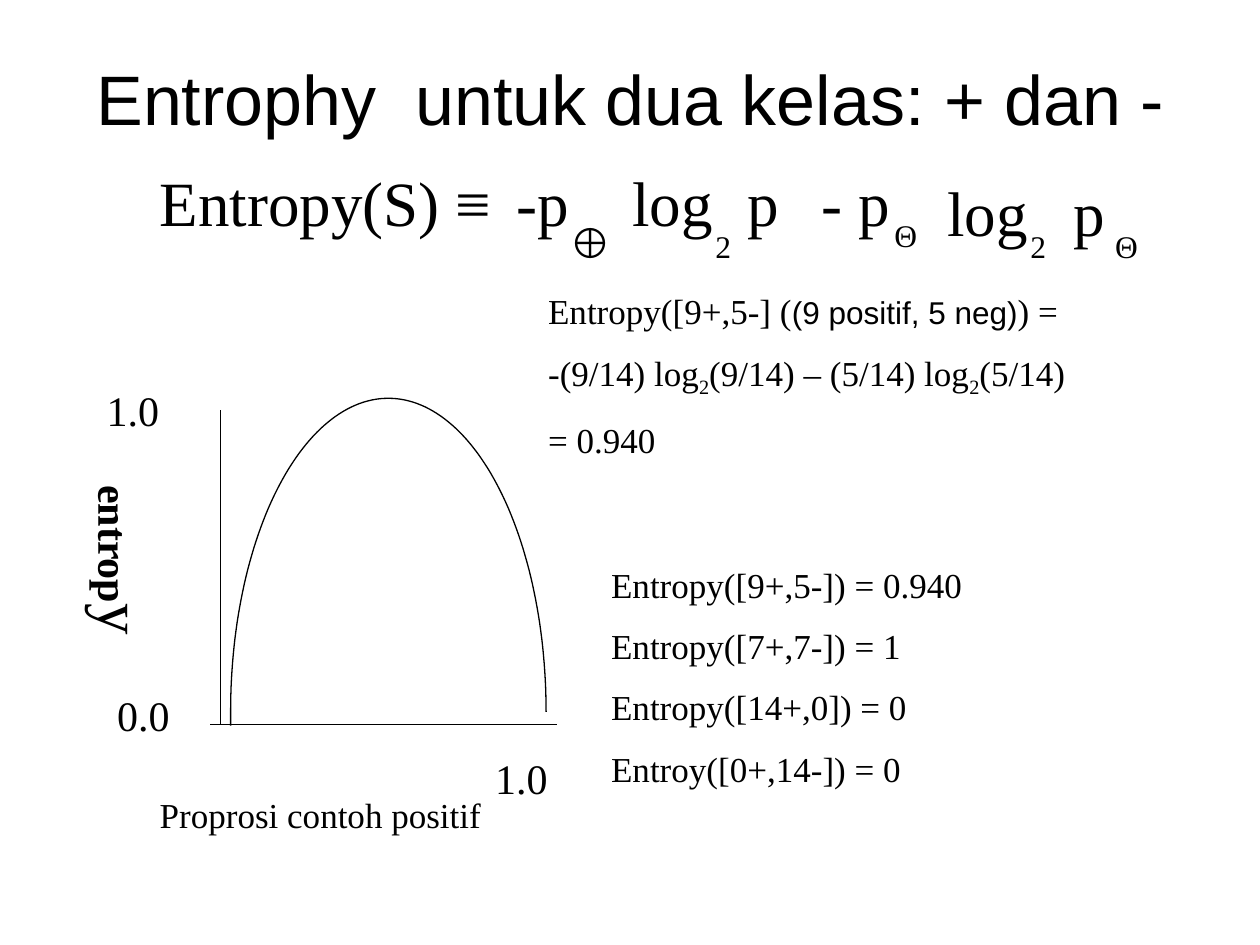
import math
from dataclasses import dataclass
from typing import Optional

from lxml import etree
from pptx import Presentation
from pptx.dml.color import RGBColor
from pptx.enum import shapes, text
from pptx.oxml import ns
from pptx.util import Cm, Pt

COLORS = {"ink": "000000"}
SERIF, SANS = "Times New Roman", "Arial"
INK = RGBColor.from_string(COLORS["ink"])
LINE_WIDTH = Pt(0.75)


@dataclass(frozen=True)
class Span:
    text: str
    size: Optional[float] = None
    font: Optional[str] = None
    bold: Optional[bool] = None
    subscript: bool = False


@dataclass(frozen=True)
class Label:
    """A text box in centimetres; each paragraph is a tuple of spans."""
    left: float
    top: float
    width: float
    size: float
    paragraphs: tuple
    wrap: bool = True


@dataclass(frozen=True)
class Axis:
    start: tuple
    end: tuple


def label(left: float, top: float, width: float, size: float, *lines: str,
          wrap: bool = True) -> Label:
    return Label(left, top, width, size, tuple((Span(line),) for line in lines), wrap)


FORMULA = [
    label(2.97, 3.18, 7.42, 36, "Entropy(S) ≡"),
    label(10.16, 3.18, 2.54, 36, "-p"),
    label(11.23, 4.24, 1.17, 24, "⊕", wrap=False),
    label(12.5, 3.18, 2.34, 36, "log"),
    label(14.17, 4.45, 1.27, 18, "2"),
    label(14.81, 3.18, 2.54, 36, "p"),
    label(16.31, 3.18, 2.54, 36, "- p"),
    label(17.78, 4.24, 0.99, 18, "Θ", wrap=False),
    label(18.85, 3.38, 2.34, 36, "log"),
    label(20.52, 4.45, 1.47, 18, "2"),
    label(21.39, 3.38, 1.9, 36, "p"),
    label(22.23, 4.45, 0.99, 18, "Θ", wrap=False),
]
GRAPH_LABELS = [
    label(1.9, 7.62, 3.61, 24, "1.0"),
    label(2.11, 13.77, 3.61, 24, "0.0"),
    label(9.73, 15.04, 3.61, 24, "1.0"),
    label(2.97, 15.88, 10.36, 20, "Proprosi contoh positif"),
]
EXAMPLES = [
    label(12.07, 11.23, 13.33, 20,
          "Entropy([9+,5-]) = 0.940", "Entropy([7+,7-]) = 1",
          "Entropy([14+,0]) = 0", "Entroy([0+,14-]) = 0"),
    Label(10.8, 5.72, 13.77, 20, (
        (Span("Entropy([9+,5-] ("), Span("(9 positif, 5 neg)", 18, SANS), Span(") =")),
        (Span("-(9/14) log"), Span("2", subscript=True),
         Span("(9/14) – (5/14) log"), Span("2", subscript=True), Span("(5/14)")),
        (Span("= 0.940"),),
    )),
]
ENTROPY_AXIS_LABEL = ((Span("entrop", 24, bold=True), Span("y")),)
AXES = [Axis((4.24, 14.61), (11.23, 14.61)), Axis((4.45, 14.61), (4.45, 8.26))]


def fill_text(frame, paragraphs: tuple, size: float, wrap: bool = True) -> None:
    frame.word_wrap = wrap
    frame.auto_size = text.MSO_AUTO_SIZE.SHAPE_TO_FIT_TEXT
    for index, spans in enumerate(paragraphs):
        paragraph = frame.add_paragraph() if index else frame.paragraphs[0]
        if index:
            paragraph.space_before = Pt(11)
        paragraph.font.name = SERIF
        paragraph.font.size = Pt(size)
        paragraph.font.color.rgb = INK
        for span in spans:
            run = paragraph.add_run()
            run.text = span.text
            if span.size:
                run.font.size = Pt(span.size)
            if span.font:
                run.font.name = span.font
            if span.bold:
                run.font.bold = True
            if span.subscript:
                run.font._element.set("baseline", "-25000")


def add_label(slide, item: Label) -> None:
    lines = len(item.paragraphs)
    height = Pt(1.2 * item.size * lines + 11 * (lines - 1)) + Cm(0.25)
    box = slide.shapes.add_textbox(Cm(item.left), Cm(item.top), Cm(item.width), height)
    fill_text(box.text_frame, item.paragraphs, item.size, item.wrap)


def add_vertical_label(slide) -> None:
    box = slide.shapes.add_textbox(Cm(1.35), Cm(9.53), Cm(2.03), Cm(4.88))
    fill_text(box.text_frame, ENTROPY_AXIS_LABEL, 36)
    box.text_frame._txBody.bodyPr.set("vert", "eaVert")


def add_axis(slide, axis: Axis) -> None:
    connector = slide.shapes.add_connector(
        shapes.MSO_CONNECTOR.STRAIGHT, *map(Cm, axis.start + axis.end))
    connector.line.color.rgb = INK
    connector.line.width = LINE_WIDTH
    etree.SubElement(connector._element.spPr, ns.qn("a:effectLst"))


def add_entropy_curve(slide) -> None:
    """Draw the upper half of an ellipse, with a short drop to the axis."""
    center_x, base_y, radius_x, radius_y = 7.83, 14.35, 3.18, 6.32
    steps = 120
    points = [
        (Cm(center_x + radius_x * math.cos(math.pi * step / steps)),
         Cm(base_y - radius_y * math.sin(math.pi * step / steps)))
        for step in range(steps + 1)
    ]
    points.append((Cm(center_x - radius_x), Cm(14.63)))
    builder = slide.shapes.build_freeform(*points[0])
    builder.add_line_segments(points[1:], close=False)
    curve = builder.convert_to_shape()
    curve.shadow.inherit = False
    curve.fill.background()
    curve.line.color.rgb = INK
    curve.line.width = LINE_WIDTH


def set_title(slide) -> None:
    title = slide.shapes.title
    title.left, title.top, title.width, title.height = map(Cm, (1.27, 0.76, 22.86, 2.41))
    title.text_frame.text = "Entrophy  untuk dua kelas: + dan -"
    title.text_frame.vertical_anchor = text.MSO_ANCHOR.MIDDLE
    paragraph = title.text_frame.paragraphs[0]
    paragraph.alignment = text.PP_ALIGN.CENTER
    paragraph.font.name = SANS
    paragraph.font.size = Pt(40)
    paragraph.font.color.rgb = INK


def main() -> None:
    presentation = Presentation()
    presentation.slide_width, presentation.slide_height = Cm(25.4), Cm(19.05)
    slide = presentation.slides.add_slide(presentation.slide_layouts[5])
    set_title(slide)
    for axis in AXES:
        add_axis(slide, axis)
    add_entropy_curve(slide)
    add_vertical_label(slide)
    for item in FORMULA + GRAPH_LABELS + EXAMPLES:
        add_label(slide, item)
    presentation.save("out.pptx")


if __name__ == "__main__":
    main()
